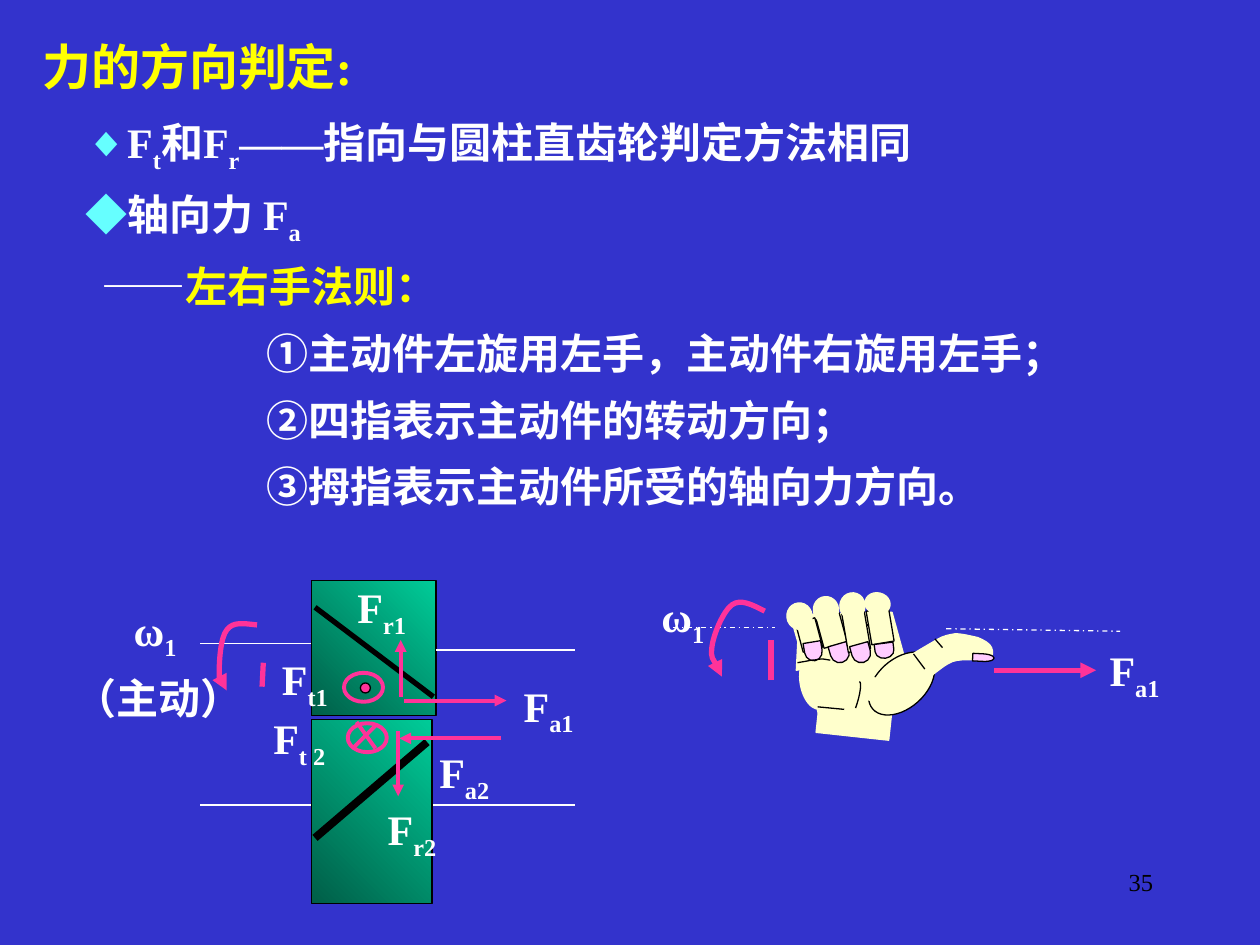
from pptx import Presentation
from pptx.dml.color import RGBColor
from pptx.enum.dml import MSO_LINE
from pptx.enum.shapes import MSO_CONNECTOR, MSO_SHAPE
from pptx.enum.text import MSO_AUTO_SIZE, PP_ALIGN
from pptx.oxml.ns import qn
from pptx.util import Inches, Pt
from lxml.etree import SubElement

FONT = "Times New Roman"
WHITE, BLACK, YELLOW, CYAN = "FFFFFF", "000000", "FFFF00", "66FFFF"
PINK, SKIN, NAIL = "FF3399", "FFFFCC", "FFCCFF"
RECT, OVAL, DELAY = MSO_SHAPE.RECTANGLE, MSO_SHAPE.OVAL, MSO_SHAPE.FLOWCHART_DELAY


def color(hex_text):
    return RGBColor.from_string(hex_text)


def style_line(line, hex_text, width, arrow=False):
    line.color.rgb = color(hex_text)
    line.width = Pt(width)
    if arrow:
        SubElement(line._get_or_add_ln(), qn("a:tailEnd"), type="triangle")


def style_shape(shape, fill, line, width, arrow=False):
    shape.shadow.inherit = False
    if fill:
        shape.fill.solid()
        shape.fill.fore_color.rgb = color(fill)
    else:
        shape.fill.background()
    style_line(shape.line, line, width, arrow)


def add_shape(page, kind, at, fill, line, width=0.75, turn=0):
    shape = page.shapes.add_shape(kind, *map(Inches, at))
    style_shape(shape, fill, line, width)
    shape.rotation = turn
    return shape


def add_line(page, start, end, hex_text, width=0.75, arrow=False, dash=None):
    line = page.shapes.add_connector(
        MSO_CONNECTOR.STRAIGHT, *map(Inches, (*start, *end)))
    if dash:
        line.line.dash_style = dash
    style_line(line.line, hex_text, width, arrow)
    SubElement(line._element.spPr, qn("a:effectLst"))


def add_outline(page, points, fill, line, width=0.75, closed=True, arrow=False):
    start, *rest = [(Inches(x), Inches(y)) for x, y in points]
    builder = page.shapes.build_freeform(*start)
    builder.add_line_segments(rest, close=closed)
    shape = builder.convert_to_shape()
    style_shape(shape, fill, line, width, arrow)
    return shape


def add_curve(page, knots, fill, line, width=0.75, closed=False, arrow=False):
    """Joined cubic curves: a start, then two controls and an end for each."""
    shape = add_outline(page, knots, fill, line, width, closed, arrow)
    segments = list(shape._element.iter(qn("a:lnTo")))
    for first in range(0, len(knots) - 1, 3):
        curve = segments[first].makeelement(qn("a:cubicBezTo"))
        segments[first].addprevious(curve)
        for segment in segments[first:first + 3]:
            curve.append(segment[0])
            segment.getparent().remove(segment)


def add_text(page, at, paragraphs, size=24, align=PP_ALIGN.CENTER, wrap=False,
             bold=True, spacing=0.8):
    """Paragraph: (indent, space before, runs). Run: (text, colour, subscript)."""
    box = page.shapes.add_textbox(*map(Inches, at))
    frame = box.text_frame
    frame.word_wrap = wrap
    frame.auto_size = MSO_AUTO_SIZE.NONE
    for number, (indent, before, runs) in enumerate(paragraphs):
        para = frame.paragraphs[0] if number == 0 else frame.add_paragraph()
        para.alignment = align
        para.line_spacing = spacing
        para.space_before = Pt(before)
        if indent:
            para._p.get_or_add_pPr().set("marL", str(Inches(indent)))
        for text, hex_text, subscript in runs:
            span = para.add_run()
            span.text = text
            span.font.name = FONT
            span.font.size = Pt(size)
            span.font.bold = bold
            span.font.color.rgb = color(hex_text)
            if subscript:
                span._r.get_or_add_rPr().set("baseline", "-25000")


def symbol(letter, index):
    return [(letter, WHITE, False), (index, WHITE, True)]


def add_symbol(page, left, top, width, letter, index):
    add_text(page, (left, top, width, 0.47), [(0, 0, symbol(letter, index))])


def add_rules(page):
    steps = ("①主动件左旋用左手，主动件右旋用左手；",
             "②四指表示主动件的转动方向；",
             "③拇指表示主动件所受的轴向力方向。")
    bullet = ("◆", CYAN, False)
    add_text(page, (0.58, 0.92, 9.05, 3.2), [
        (0, 0, [bullet, *symbol("F", "t"), *symbol("和F", "r"),
                ("——指向与圆柱直齿轮判定方法相同", WHITE, False)]),
        (0, 15, [bullet, *symbol("轴向力 F", "a")]),
        (0.13, 17.5, [("——", WHITE, False), ("左右手法则：", YELLOW, False)]),
        *[(1.44, 15, [(step, WHITE, False)]) for step in steps],
    ], align=PP_ALIGN.LEFT, wrap=True)
    add_text(page, (0.19, 0.33, 2.75, 0.48),
             [(0, 0, [("力的方向判定:", YELLOW, False)])], size=28)


def add_gear(page, at):
    gear = add_shape(page, RECT, at, None, BLACK)
    gear.fill.gradient()
    gear.fill.gradient_angle = 45
    for stop, position, hex_text in zip(gear.fill.gradient_stops, (0, 1),
                                        ("005E47", "00CC99")):
        stop.color.rgb = color(hex_text)
        stop.position = position


def add_gear_pair(page):
    add_gear(page, (2.47, 4.61, 0.99, 1.07))
    add_line(page, (1.59, 5.11), (2.47, 5.11), WHITE)
    add_line(page, (3.46, 5.16), (4.56, 5.16), WHITE)
    add_line(page, (2.08, 5.45), (2.09, 5.26), PINK, 3)
    add_curve(page, [(2.04, 4.96), (1.94, 4.95), (1.85, 4.93), (1.8, 5),
                     (1.75, 5.06), (1.74, 5.25), (1.74, 5.33),
                     (1.74, 5.41), (1.77, 5.44), (1.8, 5.48)], None, PINK, 3, arrow=True)
    add_line(page, (1.59, 6.39), (4.56, 6.39), WHITE)
    add_gear(page, (2.47, 5.71, 0.96, 1.46))
    add_line(page, (2.5, 4.82), (3.44, 5.53), BLACK, 3)
    add_line(page, (3.39, 5.89), (2.5, 6.65), BLACK, 4.5)
    add_text(page, (0.49, 4.79, 1.53, 1),
             [(0, 0, symbol("ω", "1 ")), (0, 15, [("（主动）", WHITE, False)])])


def add_forces(page):
    add_shape(page, OVAL, (2.76, 5.74, 0.31, 0.23), None, PINK, 2.25)
    add_line(page, (2.83, 5.73), (2.98, 5.94), PINK, 2.25)
    add_line(page, (2.98, 5.76), (2.8, 5.94), PINK, 2.25)
    add_shape(page, OVAL, (2.73, 5.34, 0.31, 0.23), None, PINK, 2.25)
    add_shape(page, OVAL, (2.86, 5.42, 0.08, 0.08), PINK, BLACK)
    for start, end in (((3.18, 5.53), (3.18, 5.08)), ((3.16, 5.8), (3.16, 6.32)),
                       ((3.21, 5.56), (4.02, 5.56)), ((3.98, 5.86), (3.17, 5.86))):
        add_line(page, start, end, PINK, 2.25, arrow=True)
    for left, top, width, index in ((2.07, 5.65, 0.66, "t 2 "), (2.74, 4.61, 0.58, "r1"),
                                    (2.98, 6.37, 0.58, "r2"), (2.06, 5.18, 0.72, "t1"),
                                    (4.06, 5.39, 0.59, "a1"), (3.39, 5.92, 0.59, "a2")):
        add_symbol(page, left, top, width, "F", index)


def add_parts(page, parts):
    for kind, at, turn, fill, line in parts:
        add_shape(page, kind, at, fill, line, turn=turn)


def add_fingers(page):
    add_parts(page, (
        (RECT, (6.48, 4.91, 0.24, 0.19), 74.8, SKIN, BLACK),
        (OVAL, (6.45, 4.74, 0.21, 0.2), 83.9, SKIN, SKIN),
        (DELAY, (6.59, 5.11, 0.15, 0.15), 73.8, NAIL, BLACK),
        (RECT, (6.85, 4.88, 0.27, 0.18), 80.4, SKIN, BLACK),
        (OVAL, (6.88, 4.69, 0.17, 0.2), 103, SKIN, SKIN)))
    add_line(page, (6.89, 4.96), (6.77, 4.96), BLACK)
    add_line(page, (6.88, 4.97), (6.76, 4.98), BLACK)
    add_parts(page, (
        (RECT, (6.64, 4.92, 0.31, 0.18), 80.3, SKIN, BLACK),
        (OVAL, (6.66, 4.71, 0.21, 0.2), 95.3, SKIN, SKIN),
        (DELAY, (6.96, 5.09, 0.12, 0.15), 82.5, NAIL, BLACK),
        (RECT, (6.3, 4.96, 0.24, 0.16), 75.1, SKIN, BLACK),
        (DELAY, (6.38, 5.1, 0.15, 0.14), 80.6, NAIL, BLACK)))
    add_curve(page, [(6.33, 5.26), (6.35, 5.26), (6.37, 5.25), (6.39, 5.25),
                     (6.41, 5.25), (6.42, 5.24), (6.45, 5.24), (6.47, 5.24),
                     (6.5, 5.23), (6.53, 5.23), (6.55, 5.23), (6.57, 5.24),
                     (6.59, 5.24)], None, BLACK)
    add_parts(page, (
        (OVAL, (6.24, 4.79, 0.21, 0.2), 83.7, SKIN, SKIN),
        (DELAY, (6.76, 5.11, 0.15, 0.15), 74.6, NAIL, BLACK)))


def add_hand(page):
    add_shape(page, OVAL, (6.35, 5.19, 0.24, 0.44), SKIN, SKIN, turn=170.4)
    add_outline(page, [(6.5, 5.68), (7.19, 5.26), (7.08, 4.86), (6.27, 4.88)], SKIN, SKIN)
    add_shape(page, RECT, (6.6, 5.37, 0.37, 0.58), SKIN, SKIN, turn=96.2)
    add_shape(page, OVAL, (6.85, 5.23, 0.61, 0.39), SKIN, BLACK, turn=318.2)
    add_outline(page, [(6.67, 5.25), (6.51, 4.89), (6.34, 4.93), (6.32, 5.32)], SKIN, SKIN)
    add_fingers(page)
    add_shape(page, RECT, (6.74, 5.38, 0.39, 0.18), SKIN, SKIN, turn=6.2)
    add_curve(page, [(6.82, 5.41), (6.84, 5.41), (6.83, 5.51), (6.79, 5.62)], None, BLACK)
    add_line(page, (6.49, 5.61), (6.7, 5.63), BLACK)
    add_line(page, (7.46, 5.09), (7.54, 5.05), BLACK)
    thumb = [(7.11, 5.3), (7.14, 5.24), (7.35, 5.13), (7.43, 5.08), (7.5, 5.04),
             (7.53, 5.04), (7.58, 5.03), (7.64, 5.03), (7.71, 5.05), (7.76, 5.06),
             (7.81, 5.08), (7.86, 5.11), (7.87, 5.14), (7.88, 5.17), (7.89, 5.21),
             (7.84, 5.23), (7.79, 5.25), (7.65, 5.22), (7.56, 5.25), (7.46, 5.29),
             (7.35, 5.42), (7.27, 5.43), (7.2, 5.44), (7.08, 5.36), (7.11, 5.3)]
    add_curve(page, thumb, SKIN, SKIN, closed=True)
    add_shape(page, DELAY, (7.72, 5.19, 0.17, 0.06), NAIL, BLACK, turn=3)
    add_line(page, (7.42, 5.07), (7.48, 5.14), BLACK)
    add_line(page, (7.25, 5.19), (7.34, 5.31), BLACK)


def add_hand_motion(page):
    add_line(page, (7.51, 4.99), (8.89, 5.01), WHITE, dash=MSO_LINE.DASH_DOT)
    add_line(page, (5.34, 4.98), (6.15, 4.98), WHITE, dash=MSO_LINE.DASH_DOT)
    add_curve(page, [(6.12, 5.4), (6.12, 5.27), (6.12, 5.14), (6.12, 5.08)], None, PINK, 3)
    add_curve(page, [(6.07, 4.85), (5.97, 4.8), (5.88, 4.75), (5.81, 4.8),
                     (5.74, 4.85), (5.66, 5.04), (5.65, 5.14),
                     (5.64, 5.23), (5.72, 5.33), (5.73, 5.37)], None, PINK, 3, arrow=True)
    add_symbol(page, 5.15, 4.68, 0.54, "ω", "1")
    add_line(page, (7.89, 5.32), (8.7, 5.32), PINK, 3, arrow=True)
    add_symbol(page, 8.71, 5.11, 0.59, "F", "a1")


def main():
    deck = Presentation()
    deck.slide_width, deck.slide_height = Inches(10), Inches(7.5)
    page = deck.slides.add_slide(deck.slide_layouts[6])
    page.background.fill.solid()
    page.background.fill.fore_color.rgb = color("3333CC")
    add_text(page, (7.17, 6.83, 2.08, 0.5), [(0, 0, [("35", BLACK, False)])], size=14,
             align=PP_ALIGN.RIGHT, wrap=True, bold=False, spacing=1)
    add_gear_pair(page)
    add_rules(page)
    add_forces(page)
    add_hand(page)
    add_hand_motion(page)
    deck.save("out.pptx")


if __name__ == "__main__":
    main()
